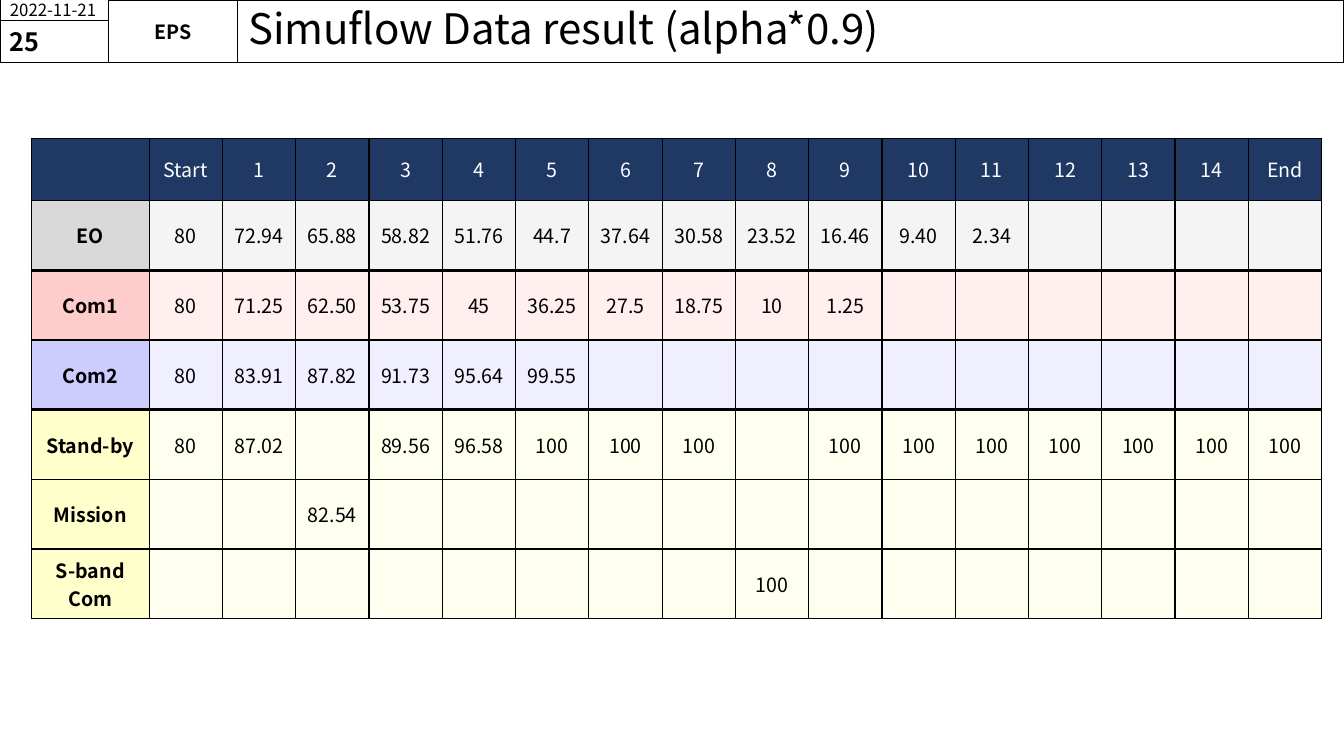
from lxml import etree
from pptx import Presentation
from pptx.dml.color import RGBColor
from pptx.enum.shapes import MSO_SHAPE
from pptx.enum.text import MSO_ANCHOR, MSO_AUTO_SIZE, PP_ALIGN
from pptx.oxml.ns import qn
from pptx.util import Inches, Pt

RECT = MSO_SHAPE.RECTANGLE
MIDDLE = MSO_ANCHOR.MIDDLE
LEFT, CENTER = PP_ALIGN.LEFT, PP_ALIGN.CENTER
NO_FIT = MSO_AUTO_SIZE.NONE

FONT = "Noto Sans CJK KR"
WIDE, HIGH = 13.33, 7.5
COLORS = {
    "black": "000000",
    "white": "FFFFFF",
    "navy": "203864",
    "gray": "D9D9D9",
    "silver": "DBDBDB",
    "red": "FFCCCC",
    "blue": "CCCCFF",
    "yellow": "FFFFCC",
}
TINT = 30  # opacity of the value cells, percent
THIN, THICK = 1, 2.25

HEADS = ["", "Start", *map(str, range(1, 15)), "End"]
# label, label color, value color, line below, values by column
ROWS = [
    ("EO", "gray", "silver", THICK,
     "80 72.94 65.88 58.82 51.76 44.7 37.64 30.58 23.52 16.46 9.40 2.34"),
    ("Com1", "red", "red", THICK,
     "80 71.25 62.50 53.75 45 36.25 27.5 18.75 10 1.25"),
    ("Com2", "blue", "blue", THICK, "80 83.91 87.82 91.73 95.64 99.55"),
    ("Stand-by", "yellow", "yellow", THIN,
     "80 87.02 - 89.56 96.58 100 100 100 - 100 100 100 100 100 100 100"),
    ("Mission", "yellow", "yellow", THIN, "- - 82.54"),
    ("S-band Com", "yellow", "yellow", THIN, "- - - - - - - - 100"),
]


def rgb(name):
    return RGBColor.from_string(COLORS[name])


def write(frame, text, size, color="black", bold=False, align=CENTER):
    par = frame.paragraphs[0]
    par.text = text
    par.alignment = align
    look = {"name": FONT, "size": Pt(size), "bold": bold}
    for item in [par.font, *(run.font for run in par.runs)]:
        for key, value in look.items():
            setattr(item, key, value)
        item.color.rgb = rgb(color)
    return par


def frame_box(shape, box, inset=None):
    """Place a box, outline it and center its text vertically."""
    for key, value in zip(("left", "top", "width", "height"), box):
        setattr(shape, key, Inches(value))
    shape.fill.background()
    shape.line.color.rgb = rgb("black")
    shape.line.width = Pt(0.75)
    frame = shape.text_frame
    format = {"word_wrap": True, "auto_size": NO_FIT, "vertical_anchor": MIDDLE}
    if inset is not None:
        sides = ("left", "top", "right", "bottom")
        format.update({f"margin_{side}": inset for side in sides})
    for key, value in format.items():
        setattr(frame, key, value)
    return frame


def add_header(slide, box):
    left, top, width, height = box
    date_w, team_w, date_h = 1.08, 1.28, 0.2
    team_x = left + date_w
    title_x = team_x + team_w

    title_box = (title_x, top, left + width - title_x, height)
    frame = frame_box(slide.shapes.title, title_box)
    par = write(frame, "Simuflow Data result (alpha*0.9)", 30, align=LEFT)
    par.line_spacing = 0.9

    parts = [
        ("2022-11-21", (left, top, date_w, date_h), 12, False, LEFT, None),
        ("EPS", (team_x, top, team_w, height), 14, True, CENTER, 0),
        ("25", (left, top + date_h, date_w, height - date_h),
         18, True, LEFT, None),
    ]
    for text, place, size, bold, align, inset in parts:
        shape = slide.shapes.add_shape(RECT, 0, 0, 0, 0)
        shape.shadow.inherit = False
        write(frame_box(shape, place, inset), text, size, bold=bold, align=align)


def add_border(cell, side, width):
    props = cell._tc.get_or_add_tcPr()
    line = etree.SubElement(props, qn(f"a:ln{side}"), w=str(Pt(width)))
    fill = etree.SubElement(line, qn("a:solidFill"))
    etree.SubElement(fill, qn("a:srgbClr"), val=COLORS["black"])


def style_cell(cell, fill, above, below, opacity=100):
    cell.vertical_anchor = MIDDLE
    for side, width in zip("LRTB", (THIN, THIN, above, below)):
        add_border(cell, side, width)
    cell.fill.solid()
    cell.fill.fore_color.rgb = rgb(fill)
    if opacity < 100:
        props = cell._tc.get_or_add_tcPr()
        color = props.find(f"{qn('a:solidFill')}/{qn('a:srgbClr')}")
        etree.SubElement(color, qn("a:alpha"), val=str(opacity * 1000))


def add_results(slide, box):
    label_w, head_h = 1.17, 0.62
    width, height = box[2:]
    cols, rows = len(HEADS), len(ROWS) + 1
    place = map(Inches, box)
    table = slide.shapes.add_table(rows, cols, *place).table
    table.horz_banding = False

    for index, col in enumerate(table.columns):
        col.width = Inches((width - label_w) / (cols - 1) if index else label_w)
    for index, row in enumerate(table.rows):
        row.height = Inches((height - head_h) / (rows - 1) if index else head_h)

    for col, text in enumerate(HEADS):
        cell = table.cell(0, col)
        style_cell(cell, "navy", THIN, THIN)
        write(cell.text_frame, text, 14, "white")

    above = THIN
    for row, (label, dark, light, below, values) in enumerate(ROWS, 1):
        texts = [label, *(v.replace("-", "") for v in values.split())]
        texts += [""] * (cols - len(texts))
        for col, text in enumerate(texts):
            cell = table.cell(row, col)
            if col:
                style_cell(cell, light, above, below, TINT)
            else:
                style_cell(cell, dark, above, below)
            write(cell.text_frame, text, 14, bold=col == 0)
        above = below


def main():
    deck = Presentation()
    deck.slide_width, deck.slide_height = Inches(WIDE), Inches(HIGH)
    slide = deck.slides.add_slide(deck.slide_layouts[5])
    add_header(slide, (0, 0, WIDE, 0.62))
    add_results(slide, (0.31, 1.37, 12.8, 4.77))
    deck.save("out.pptx")


if __name__ == "__main__":
    main()
